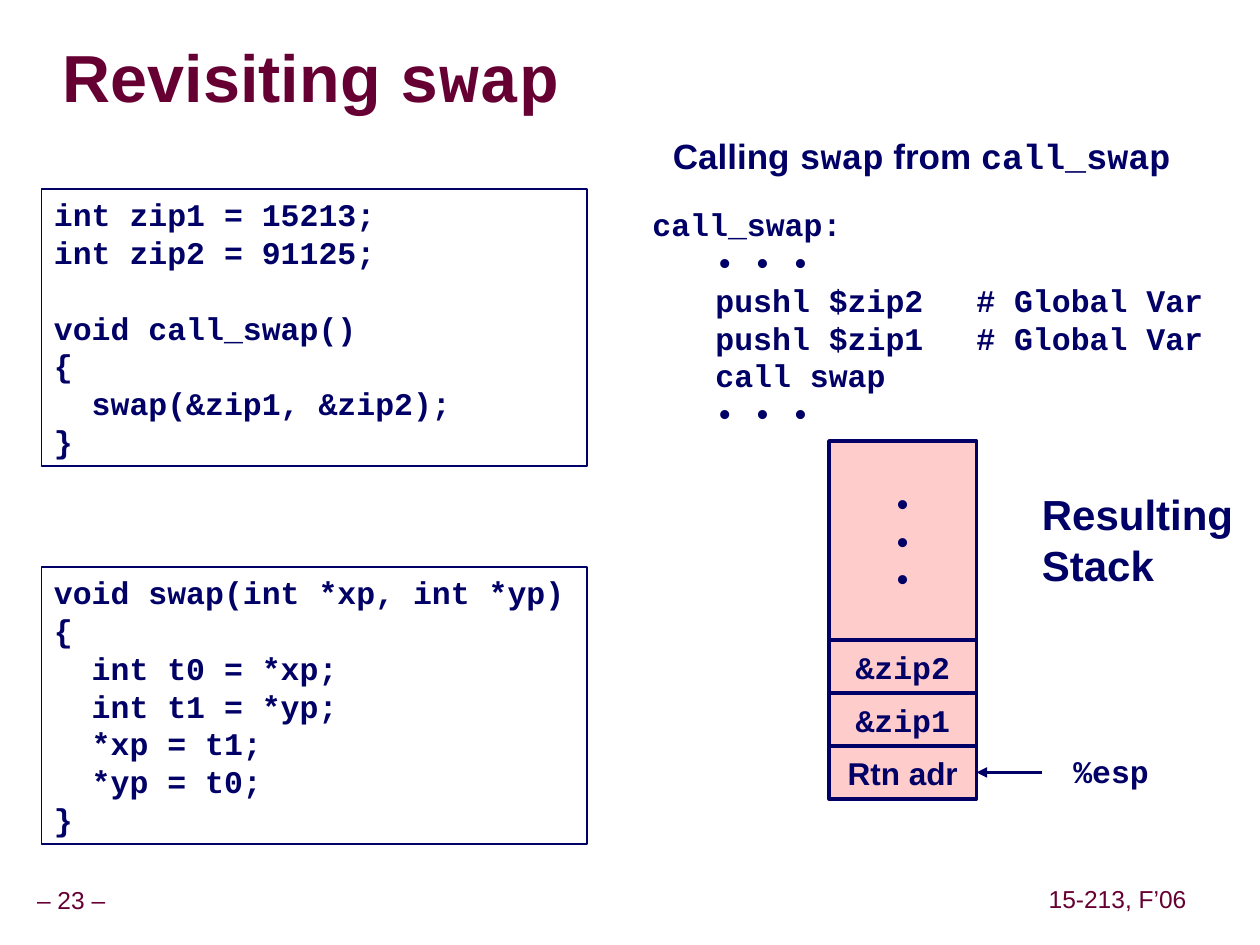
from dataclasses import dataclass

from lxml import etree
from pptx import Presentation
from pptx.dml.color import RGBColor
from pptx.enum import shapes, text
from pptx.oxml import ns
from pptx.util import Inches, Pt


@dataclass(frozen=True)
class Theme:
    maroon: RGBColor = RGBColor(0x66, 0x00, 0x33)
    navy: RGBColor = RGBColor(0x00, 0x00, 0x66)
    pink: RGBColor = RGBColor(0xFF, 0xCC, 0xCC)
    shadow: str = "969696"
    sans: str = "Arial"
    mono: str = "Courier New"
    title: int = 38
    label: int = 24
    heading: int = 20
    body: int = 18
    footer: int = 14


THEME = Theme()
LEFT, CENTER = text.PP_ALIGN.LEFT, text.PP_ALIGN.CENTER
TOP, MIDDLE = text.MSO_ANCHOR.TOP, text.MSO_ANCHOR.MIDDLE

GLOBALS_CODE = """int zip1 = 15213;
int zip2 = 91125;

void call_swap()
{
  swap(&zip1, &zip2);
}"""
SWAP_CODE = """void swap(int *xp, int *yp)
{
  int t0 = *xp;
  int t1 = *yp;
  *xp = t1;
  *yp = t0;
}"""
ASSEMBLY = """call_swap:
\t• • •
\tpushl $zip2\t# Global Var
\tpushl $zip1\t# Global Var
\tcall swap
\t• • •"""


def sub(parent, tag, **attributes):
    return etree.SubElement(parent, ns.qn(tag), attributes)


def write(shape, lines, size, font=THEME.sans, color=THEME.navy, bold=True, align=LEFT,
          anchor=TOP, margins=(0.1, 0.05), wrap=False, spacing=None, tabs=()):
    """Fill a shape with lines; a line is a string or a list of (words, font) spans."""
    frame = shape.text_frame
    frame.word_wrap = wrap
    frame.vertical_anchor = anchor
    frame.margin_left = frame.margin_right = Inches(margins[0])
    frame.margin_top = frame.margin_bottom = Inches(margins[1])
    for index, line in enumerate(lines):
        para = frame.add_paragraph() if index else frame.paragraphs[0]
        para.alignment = align
        if spacing:
            para.line_spacing = spacing
        if tabs:
            stops = sub(para._p.get_or_add_pPr(), "a:tabLst")
            for stop in tabs:
                sub(stops, "a:tab", pos=str(Inches(stop)), algn="l")
        para.font.size, para.font.bold = Pt(size), bold
        para.font.color.rgb = color
        if isinstance(line, str):
            para.font.name = font
            if line:
                para.add_run().text = line
        else:
            for words, face in line:
                span = para.add_run()
                span.text, span.font.name = words, face


def add_text(page, box, lines, size, **style):
    shape = page.shapes.add_textbox(*map(Inches, box))
    write(shape, lines, size, **style)
    return shape


def add_rectangle(page, box, width, fill=None):
    shape = page.shapes.add_shape(shapes.MSO_SHAPE.RECTANGLE, *map(Inches, box))
    shape.shadow.inherit = False
    if fill is None:
        shape.fill.background()
    else:
        shape.fill.solid()
        shape.fill.fore_color.rgb = fill
    shape.line.color.rgb = THEME.navy
    shape.line.width = Pt(width)
    return shape


def add_title(page, box):
    title = add_text(page, box, [[("Revisiting ", THEME.sans), ("swap", THEME.mono)]],
                     THEME.title, color=THEME.maroon, anchor=MIDDLE, margins=(0, 0),
                     wrap=True, spacing=0.87)
    for span in title.text_frame.paragraphs[0].runs:
        effects = etree.Element(ns.qn("a:effectLst"))
        shadow = sub(effects, "a:outerShdw", dist=str(Pt(3)), dir="2700000")
        sub(shadow, "a:srgbClr", val=THEME.shadow)
        span.font._element.insert(0, effects)


def add_code(page, box, code):
    write(add_rectangle(page, box, 1), code.split("\n"), THEME.body, font=THEME.mono, wrap=True)


def add_call(page, box):
    """Heading with the calling assembly code under it."""
    left, top, width, height = box
    heading = [("Calling ", THEME.sans), ("swap", THEME.mono),
               (" from ", THEME.sans), ("call_swap", THEME.mono)]
    add_text(page, (left + 0.21, top, 4.05, 0.4), [heading], THEME.heading,
             align=CENTER, margins=(0.05, 0.05), spacing=0.9)
    add_text(page, (left, top + 0.52, width, height - 0.52), ASSEMBLY.split("\n"), THEME.body,
             font=THEME.mono, wrap=True, tabs=(0.5, 1.63, 2.57))


def add_stack(page, box):
    """Stack cells from high to low addresses, with the stack pointer and a caption."""
    left, top, width, height = box
    row = 0.42
    cells = [(["•"] * 3, THEME.sans, height - 3 * row), (["&zip2"], THEME.mono, row),
             (["&zip1"], THEME.mono, row), (["Rtn adr"], THEME.sans, row)]
    y = top
    for lines, font, cell_height in cells:
        cell = add_rectangle(page, (left, y, width, cell_height), 2, THEME.pink)
        write(cell, lines, THEME.body, font=font, align=CENTER, anchor=MIDDLE)
        y += cell_height

    right, middle = left + width, y - row / 2
    arrow = page.shapes.add_connector(
        shapes.MSO_CONNECTOR.STRAIGHT, Inches(right + 0.52), Inches(middle),
        Inches(right), Inches(middle))
    arrow.end_connect(cell, 3)
    arrow.line.color.rgb = THEME.navy
    arrow.line.width = Pt(2)
    sub(arrow.line._get_or_add_ln(), "a:tailEnd", type="triangle")
    sub(arrow._element.spPr, "a:effectLst")

    add_text(page, (right + 0.67, y - row, 0.8, 0.4), ["%esp"], THEME.body, font=THEME.mono)
    add_text(page, (right + 0.42, top + 0.33, 1.72, 0.9), ["Resulting", "Stack"], THEME.label)


def add_footer(page, box, words):
    add_text(page, box, [words], THEME.footer, color=THEME.maroon, bold=False,
             align=CENTER, anchor=MIDDLE, margins=(0.05, 0.05), spacing=0.9)


def main():
    deck = Presentation()
    deck.slide_width, deck.slide_height = Inches(10), Inches(7.5)
    page = deck.slides.add_slide(deck.slide_layouts[6])
    add_title(page, (0.5, 0.33, 6.43, 0.63))
    for top, code in ((1.5, GLOBALS_CODE), (4.5, SWAP_CODE)):
        add_code(page, (0.33, top, 4.33, 2.2), code)
    add_call(page, (5.08, 1.06, 4.67, 2.42))
    add_stack(page, (6.58, 3.5, 1.17, 2.84))
    add_footer(page, (-0.09, 7, 1.31, 0.31), "– 23 –")
    add_footer(page, (8.27, 6.99, 1.2, 0.31), "15-213, F’06")
    deck.save("out.pptx")


if __name__ == "__main__":
    main()
